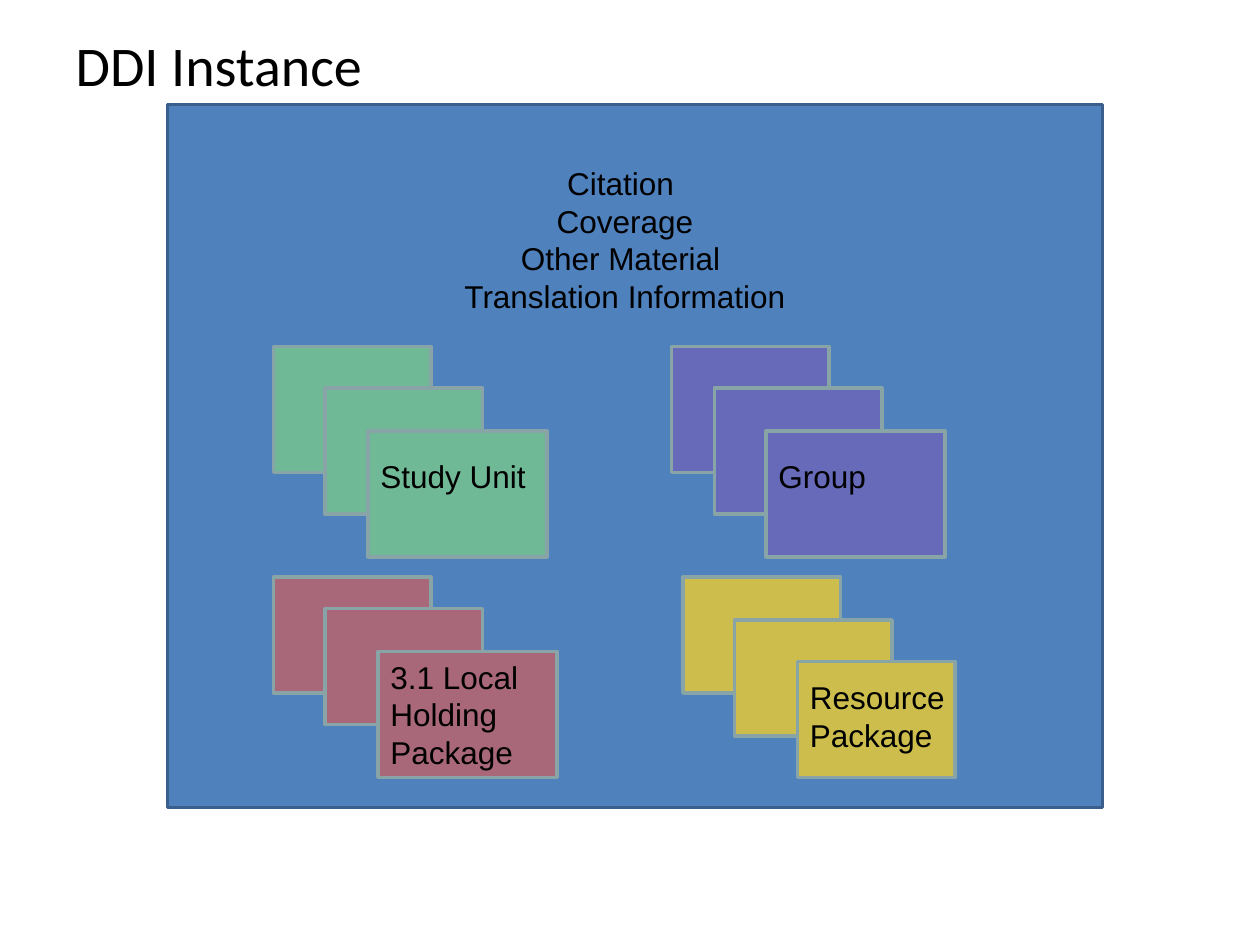
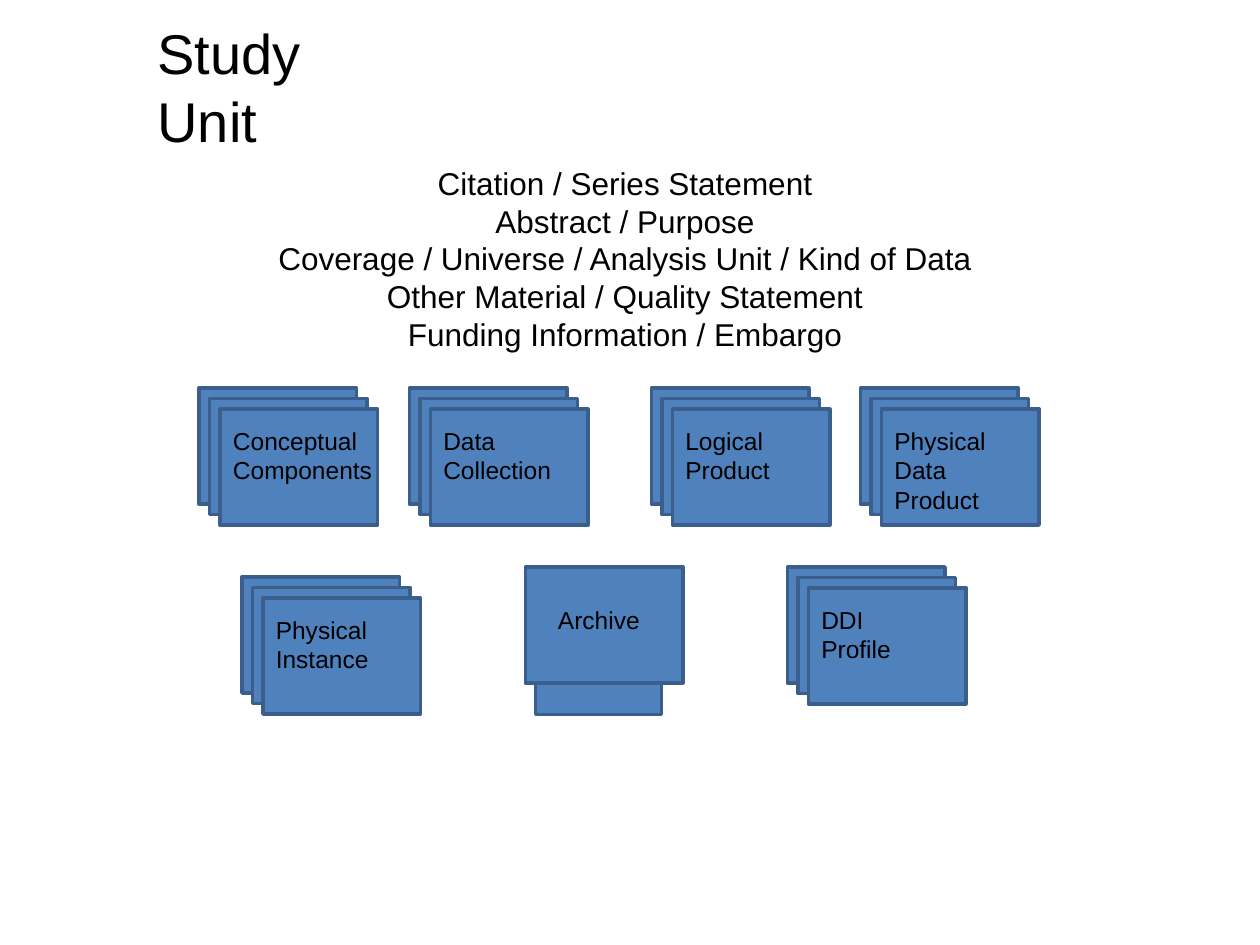
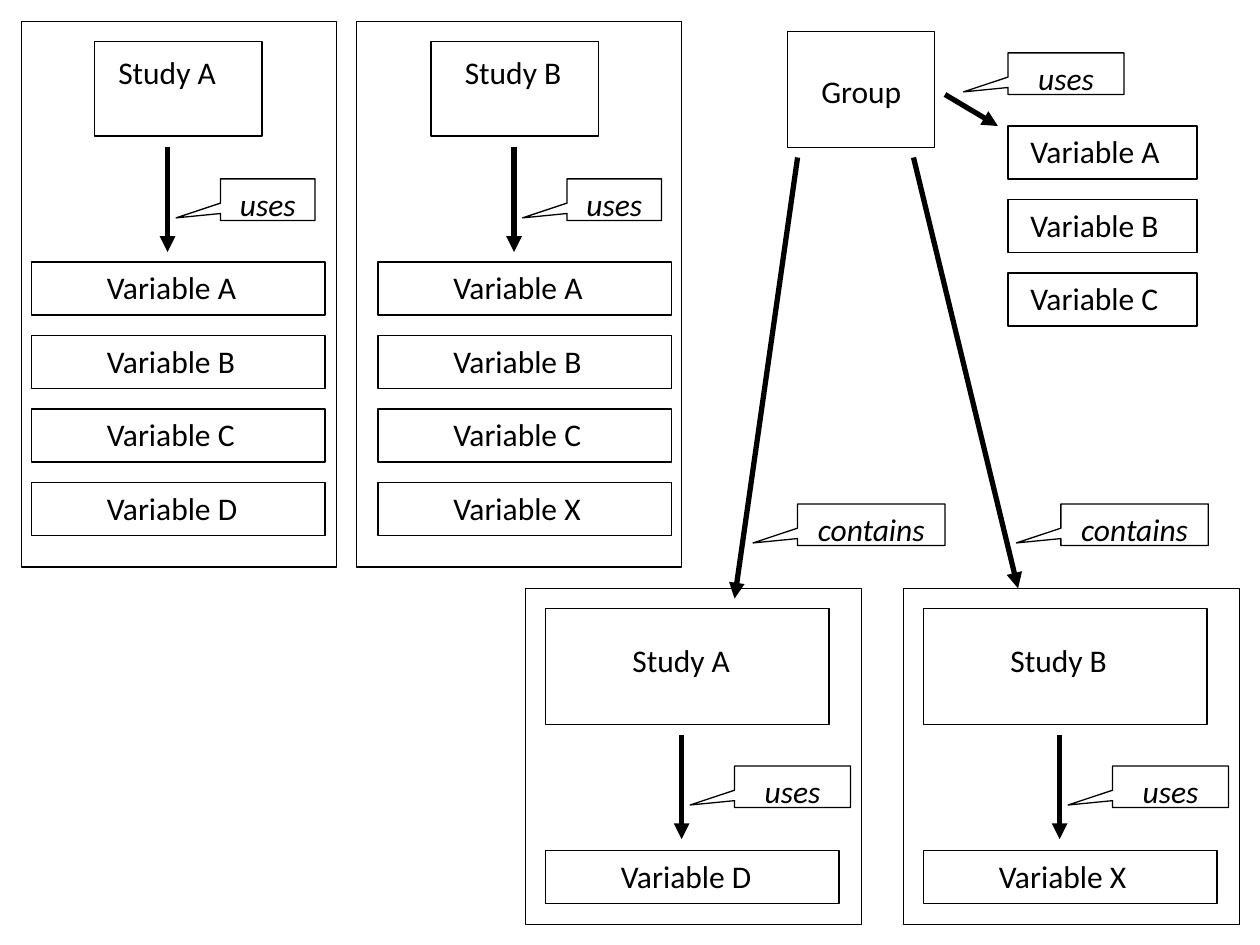
from lxml import etree
from pptx import Presentation
from pptx.dml.color import RGBColor
from pptx.enum.shapes import MSO_CONNECTOR, MSO_SHAPE
from pptx.enum.text import MSO_ANCHOR, MSO_AUTO_SIZE, PP_ALIGN
from pptx.oxml.ns import qn
from pptx.util import Inches, Pt

RECTANGLE = MSO_SHAPE.RECTANGLE
CALLOUT = MSO_SHAPE.RECTANGULAR_CALLOUT
STRAIGHT = MSO_CONNECTOR.STRAIGHT
LEFT = PP_ALIGN.LEFT
CENTER = PP_ALIGN.CENTER
TOP = MSO_ANCHOR.TOP
NO_AUTOFIT = MSO_AUTO_SIZE.NONE

BLACK = RGBColor(0x00, 0x00, 0x00)
BLUE = RGBColor(0x4F, 0x81, 0xBD)
DARK_BLUE = RGBColor(0x3A, 0x5F, 0x8C)
GREEN = RGBColor(0x6F, 0xB9, 0x96)
PURPLE = RGBColor(0x67, 0x69, 0xB9)
RED = RGBColor(0xA8, 0x68, 0x7A)
YELLOW = RGBColor(0xCC, 0xBD, 0x4C)
CARD_LINE = RGBColor(0x89, 0xA4, 0xA7)
ARIAL = "Arial"
CALIBRI = "Calibri"


def add_box(slide, bounds, fill=None, line=BLACK, line_width=0.75, kind=RECTANGLE):
    shape = slide.shapes.add_shape(kind, *map(Inches, bounds))
    shape.shadow.inherit = False
    if fill is None:
        shape.fill.background()
    else:
        shape.fill.solid()
        shape.fill.fore_color.rgb = fill
    shape.line.color.rgb = line
    shape.line.width = Pt(line_width)
    return shape


def write_text(shape, lines, size=18, font=ARIAL, align=LEFT, wrap=False, italic=False):
    frame = shape.text_frame
    frame.word_wrap = wrap
    frame.auto_size = NO_AUTOFIT
    frame.vertical_anchor = TOP
    for index, line in enumerate(lines):
        paragraph = frame.add_paragraph() if index else frame.paragraphs[0]
        paragraph.alignment = align
        run = paragraph.add_run()
        run.text = line
        run.font.size = Pt(size)
        run.font.name = font
        run.font.italic = italic
        run.font.color.rgb = BLACK


presentation = Presentation()
presentation.slide_width = Inches(10)
presentation.slide_height = Inches(7.5)
title_layout = presentation.slide_layouts[5]
blank_layout = presentation.slide_layouts[6]

titles = [
    ("DDI Instance", CALIBRI, (0.5, 0.19, 9, 0.64)),
    ("Study Unit", ARIAL, (1.15, 0.1, 2.25, 0.63)),
]
for text, font, bounds in titles:
    slide = presentation.slides.add_slide(title_layout)
    title = slide.shapes.title
    title.left, title.top, title.width, title.height = map(Inches, bounds)
    write_text(title, [text], 32, font, wrap=True)

instance_slide, study_slide = presentation.slides
group_slide = presentation.slides.add_slide(blank_layout)

add_box(instance_slide, (1.33, 0.83, 7.42, 5.58), BLUE, DARK_BLUE, 2)
instance_details = instance_slide.shapes.add_textbox(
    Inches(3.25), Inches(1.25), Inches(3.42), Inches(1.31)
)
write_text(
    instance_details,
    ["Citation ", "Coverage", "Other Material ", "Translation Information"],
    align=CENTER,
    wrap=True,
)

modules_of_instance = [
    (GREEN, "Study Unit", (2.92, 3.58, 1.58, 0.4),
     [(2.17, 2.75, 1.25, 1), (2.58, 3.08, 1.25, 1), (2.92, 3.42, 1.42, 1)]),
    (PURPLE, "Group", (6.08, 3.58, 1.42, 0.4),
     [(5.33, 2.75, 1.25, 1), (5.67, 3.08, 1.33, 1), (6.08, 3.42, 1.42, 1)]),
    (RED, "3.1 Local Holding Package", (3, 5.17, 1.33, 1),
     [(2.17, 4.58, 1.25, 0.92), (2.58, 4.83, 1.25, 0.92), (3, 5.17, 1.42, 1)]),
    (YELLOW, "Resource Package", (6.33, 5.33, 1.58, 0.71),
     [(5.42, 4.58, 1.25, 0.92), (5.83, 4.92, 1.25, 0.92), (6.33, 5.25, 1.25, 0.92)]),
]
for color, label, label_bounds, cards in modules_of_instance:
    for card in cards:
        add_box(instance_slide, card, color, CARD_LINE, 2)
    label_box = instance_slide.shapes.add_textbox(*map(Inches, label_bounds))
    write_text(label_box, [label], wrap=True)

study_details = study_slide.shapes.add_textbox(
    Inches(1.92), Inches(1.25), Inches(6.08), Inches(1.62)
)
write_text(
    study_details,
    [
        "Citation / Series Statement",
        "Abstract / Purpose",
        "Coverage / Universe / Analysis Unit / Kind of Data",
        "Other Material / Quality Statement",
        "Funding Information / Embargo",
    ],
    align=CENTER,
    wrap=True,
)

CARD_STEP = 1 / 12
study_stacks = [
    (1.58, 3.08, 1.31, ["Conceptual", "Components"]),
    (3.25, 3.08, 1.06, ["Data", "Collection"]),
    (5.17, 3.08, 0.88, ["Logical", "Product"]),
    (6.83, 3.08, 1.0, ["Physical", "Data", "Product"]),
    (1.92, 4.58, 0.99, ["Physical", "Instance"]),
    (6.25, 4.5, 0.76, ["DDI", "Profile"]),
]
for left, top, label_width, lines in study_stacks:
    for index in range(3):
        offset = index * CARD_STEP
        add_box(study_slide, (left + offset, top + offset, 1.25, 0.92), BLUE, DARK_BLUE, 2)
    label_bounds = (left + 0.17, top + 0.25, label_width, 0.09 + 0.24 * len(lines))
    label_box = study_slide.shapes.add_textbox(*map(Inches, label_bounds))
    write_text(label_box, lines, 14)

add_box(study_slide, (4.25, 4.67, 1, 1), BLUE, DARK_BLUE, 2)
add_box(study_slide, (4.17, 4.5, 1.25, 0.92), BLUE, DARK_BLUE, 2)
archive_label = study_slide.shapes.add_textbox(
    Inches(4.33), Inches(4.75), Inches(0.86), Inches(0.34)
)
write_text(archive_label, ["Archive"], 14)

VARIABLE_STEP = 7 / 12
frames = [
    (0.17, 0.17, 2.5, 4.33),
    (2.83, 0.17, 2.58, 4.33),
    (4.17, 4.67, 2.67, 2.67),
    (7.17, 4.67, 2.67, 2.67),
    (0.75, 0.33, 1.33, 0.75),
    (3.42, 0.33, 1.33, 0.75),
    (4.33, 4.83, 2.25, 0.92),
    (7.33, 4.83, 2.25, 0.92),
    (6.25, 0.25, 1.17, 0.92),
]
for bounds in frames:
    add_box(group_slide, bounds)

labels = [("Group", 6.42, 0.52, 0.9)]
arrows = [
    (7.5, 0.75, 7.92, 1),
    (6.33, 1.25, 5.83, 4.75),
    (7.25, 1.25, 8.08, 4.67),
]
callouts = [
    ("uses", 8, 0.42, 0.92, -0.884),
    ("contains", 6.33, 4, 1.17, -0.802),
    ("contains", 8.42, 4, 1.17, -0.802),
]
variable_lists = [("ABC", 8, 1, 1.5, 0.08)]

studies = [
    ("Study A", 0.25, 0.37, "ABCD", 2.08, 1.17, 0.75, -0.97),
    ("Study B", 3, 0.37, "ABCX", 2.08, 1.17, 0.75, -0.97),
    ("Study A", 4.33, 5.04, "D", 6.75, 5.83, 0.92, -0.884),
    ("Study B", 7.33, 5.04, "X", 6.75, 5.83, 0.92, -0.884),
]
for name, left, name_top, letters, list_top, arrow_top, callout_width, pointer in studies:
    labels.append((name, left + 0.59, name_top, 1.08))
    arrows.append((left + 1.08, arrow_top, left + 1.08, arrow_top + 0.83))
    callouts.append(("uses", left + 1.5, arrow_top + 0.25, callout_width, pointer))
    variable_lists.append((letters, left, list_top, 2.33, 0.5))

for letters, left, top, width, indent in variable_lists:
    for index, letter in enumerate(letters):
        variable_top = top + index * VARIABLE_STEP
        add_box(group_slide, (left, variable_top, width, 0.42))
        labels.append((f"Variable {letter}", left + indent, variable_top, 1.36))

for text, left, top, width in labels:
    label_box = group_slide.shapes.add_textbox(*map(Inches, (left, top, width, 0.4)))
    write_text(label_box, [text], font=CALIBRI)

for text, left, top, width, pointer in callouts:
    callout = add_box(group_slide, (left, top, width, 0.33), kind=CALLOUT)
    callout.adjustments[0] = pointer
    callout.adjustments[1] = 0.438
    write_text(callout, [text], font=CALIBRI, align=CENTER, wrap=True, italic=True)

for ends in arrows:
    arrow = group_slide.shapes.add_connector(STRAIGHT, *map(Inches, ends))
    arrow.line.color.rgb = BLACK
    arrow.line.width = Pt(3)
    properties = arrow.element.spPr
    etree.SubElement(properties.find(qn("a:ln")), qn("a:tailEnd"), type="triangle")
    etree.SubElement(properties, qn("a:effectLst"))

presentation.save("out.pptx")
